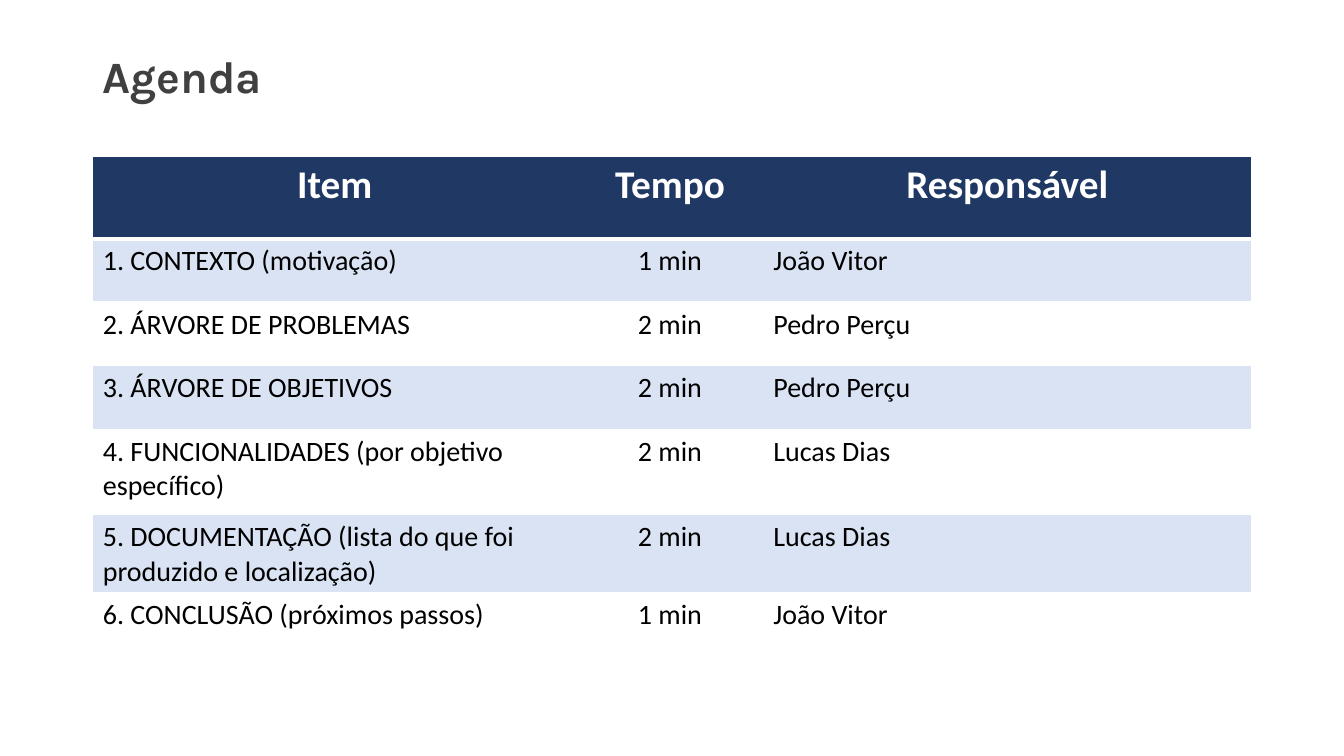
from lxml import etree
from pptx import Presentation
from pptx.dml.color import RGBColor
from pptx.enum import text
from pptx.oxml.ns import qn
from pptx.util import Inches, Pt

NAVY, PALE, WHITE, BLACK, GRAY = "203864", "DAE3F3", "FFFFFF", "000000", "404040"
NO_GRID_STYLE = "{2D5ABB26-0587-4C30-8999-92F81FD0307C}"


def style_text(paragraph, font_name, size, color, bold):
    font = paragraph.runs[0].font
    for key, value in {"name": font_name, "size": Pt(size), "bold": bold}.items():
        setattr(font, key, value)
    font.color.rgb = RGBColor.from_string(color)


def add_border(cell, side, points):
    """Draw a white line on one side (L, R, T or B); call before filling the cell."""
    line = etree.SubElement(cell._tc.get_or_add_tcPr(), qn(f"a:ln{side}"), w=str(Pt(points)))
    fill = etree.SubElement(line, qn("a:solidFill"))
    etree.SubElement(fill, qn("a:srgbClr"), val=WHITE)


prs = Presentation()
prs.slide_width, prs.slide_height = Inches(13.33), Inches(7.5)
slide = prs.slides.add_slide(prs.slide_layouts[6])

title = slide.shapes.add_textbox(Inches(0.92), Inches(0.4), Inches(11.5), Inches(0.76)).text_frame
title.word_wrap = True
title.vertical_anchor = text.MSO_ANCHOR.MIDDLE
title.text = "Agenda"
title.paragraphs[0].line_spacing = 0.9
style_text(title.paragraphs[0], "Karla", 32, GRAY, True)

agenda = [
    ("Item", "Tempo", "Responsável"),
    ("1. CONTEXTO (motivação)", "1 min", "João Vitor"),
    ("2. ÁRVORE DE PROBLEMAS", "2 min", "Pedro Perçu"),
    ("3. ÁRVORE DE OBJETIVOS", "2 min", "Pedro Perçu"),
    ("4. FUNCIONALIDADES (por objetivo específico)", "2 min", "Lucas Dias"),
    ("5. DOCUMENTAÇÃO (lista do que foi produzido e localização)", "2 min", "Lucas Dias"),
    ("6. CONCLUSÃO (próximos passos)", "1 min", "João Vitor"),
]
column_widths = [4.8, 1.85, 4.84]
row_heights = [0.82, 0.63, 0.63, 0.63, 0.85, 0.63, 0.63]
last_row, last_column = len(agenda) - 1, len(column_widths) - 1

table = slide.shapes.add_table(
    len(agenda), len(column_widths), Inches(0.92), Inches(1.55),
    Inches(sum(column_widths)), Inches(sum(row_heights))).table
table._tbl.tblPr.find(qn("a:tableStyleId")).text = NO_GRID_STYLE
for column, width in zip(table.columns, column_widths):
    column.width = Inches(width)
for row, height in zip(table.rows, row_heights):
    row.height = Inches(height)

for r, entries in enumerate(agenda):
    header = r == 0
    for c, entry in enumerate(entries):
        cell = table.cell(r, c)
        borders = {
            "L": 1 if c == 0 else 0,
            "R": 1 if c == last_column else 0,
            "T": 3 if r == 1 else 1 if header else 0,
            "B": 3 if header else 1 if r == last_row else 0,
        }
        for side, points in borders.items():
            if points:
                add_border(cell, side, points)
        cell.fill.solid()
        cell.fill.fore_color.rgb = RGBColor.from_string(
            NAVY if header else PALE if r % 2 else WHITE)
        cell.text = entry
        paragraph = cell.text_frame.paragraphs[0]
        if header or c == 1:
            paragraph.alignment = text.PP_ALIGN.CENTER
        style_text(paragraph, "Calibri", 28 if header else 20, WHITE if header else BLACK, header)

prs.save("out.pptx")
